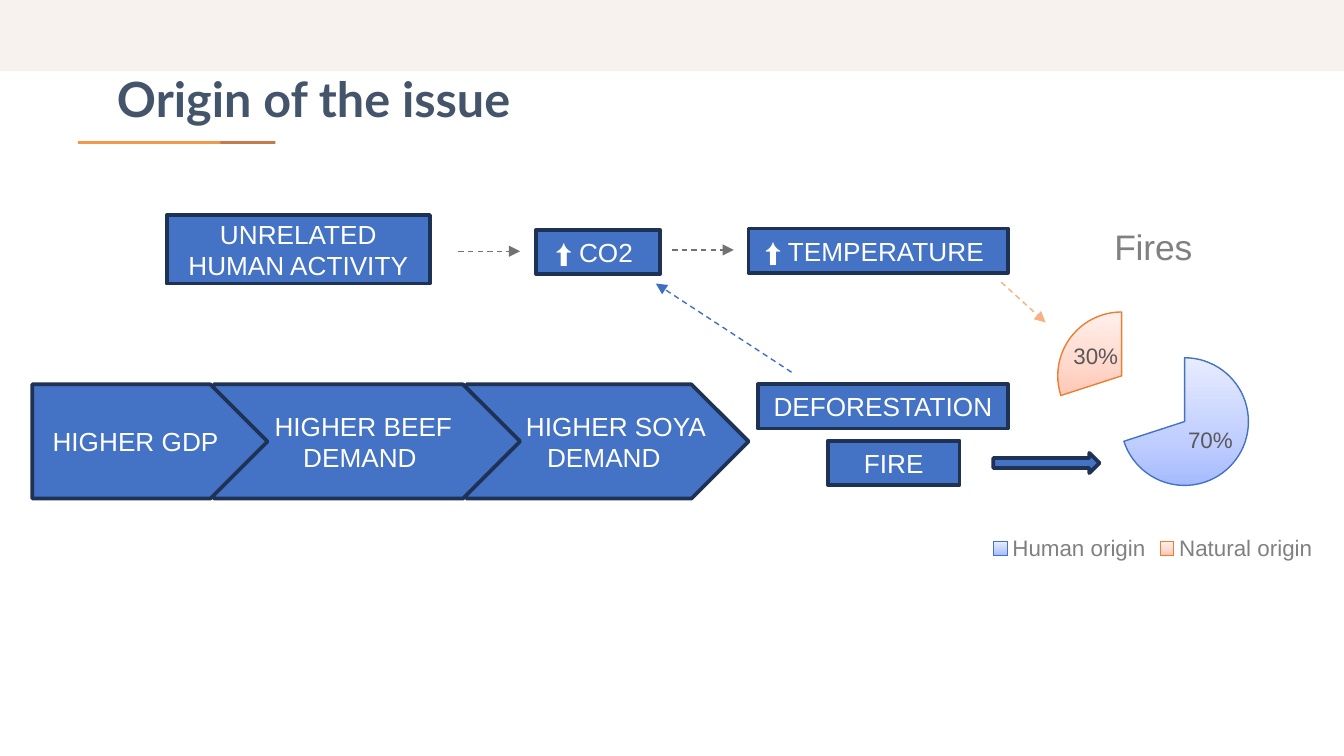
from typing import NamedTuple

from lxml import etree
from pptx import Presentation
from pptx.chart.data import CategoryChartData
from pptx.dml.color import RGBColor
from pptx.enum.chart import XL_CHART_TYPE as ChartType
from pptx.enum.chart import XL_LABEL_POSITION as LabelPosition
from pptx.enum.chart import XL_LEGEND_POSITION as LegendPosition
from pptx.enum.dml import MSO_LINE_DASH_STYLE as Dash
from pptx.enum.shapes import MSO_CONNECTOR as ConnectorType
from pptx.enum.shapes import MSO_SHAPE as Shape
from pptx.enum.text import MSO_ANCHOR as Anchor
from pptx.enum.text import PP_ALIGN as Align
from pptx.oxml import parse_xml
from pptx.oxml.ns import nsdecls, qn
from pptx.util import Inches, Pt

BLUE, NAVY, WHITE, GREY = "4472C4", "1E3256", "FFFFFF", "808080"


class Box(NamedTuple):
    text: str
    left: float
    top: float
    width: float
    height: float = 0.33


class Chevron(NamedTuple):
    lines: tuple
    left: float
    width: float
    inset: float = 0
    first_indent: float = 0


class Arrow(NamedTuple):
    start: tuple
    end: tuple
    color: str


class Slice(NamedTuple):
    name: str
    value: int
    line: str
    stops: tuple


BOXES = [
    Box("DEFORESTATION", 5.64, 2.86, 1.86),
    Box("FIRE", 6.16, 3.28, 0.98),
    Box("⬆️ CO2 ", 3.99, 1.71, 0.92),
    Box("⬆️ TEMPERATURE ", 5.57, 1.7, 1.93),
    Box("UNRELATED HUMAN ACTIVITY", 1.24, 1.6, 1.96, 0.51),
]
# Back to front: each chevron overlaps the next one in the chain.
CHEVRONS = [
    Chevron(("HIGHER SOYA", "DEMAND"), 3.47, 2.1, 0.16, 0.18),
    Chevron(("HIGHER BEEF", "DEMAND"), 1.59, 2.28, 0.11, 0.05),
    Chevron(("HIGHER GDP",), 0.24, 1.75),
]
ARROWS = [
    Arrow((5.89, 2.77), (4.88, 2.11), "3F6FC3"),
    Arrow((5, 1.86), (5.46, 1.86), "767171"),
    Arrow((7.45, 2.1), (7.78, 2.4), "F4B183"),
    Arrow((3.41, 1.87), (3.87, 1.87), "767171"),
]
SLICES = [
    Slice("Human origin", 70, BLUE, ("A6BBFF", "C0CEFF", "E7ECFF")),
    Slice("Natural origin", 30, "ED7D31", ("FFC7B6", "FFD7CB", "FFF0EB")),
]


def rgb(color: str) -> RGBColor:
    return RGBColor.from_string(color)


def style_font(font, *, size: float, color: str, name: str = "Arial", bold: bool = False) -> None:
    font.size, font.name, font.bold = Pt(size), name, bold
    font.color.rgb = rgb(color)


def write(frame, *lines: str, size: float = 14, color: str = WHITE, name: str = "Arial",
          bold: bool = False, align=Align.CENTER, anchor=Anchor.MIDDLE) -> None:
    frame.word_wrap = True
    frame.vertical_anchor = anchor
    for index, line in enumerate(lines):
        para = frame.add_paragraph() if index else frame.paragraphs[0]
        para.alignment = align
        span = para.add_run()
        span.text = line
        style_font(span.font, size=size, color=color, name=name, bold=bold)


def draw_shape(page, kind, left: float, top: float, width: float, height: float,
               *, fill: str = BLUE, line: str | None = NAVY):
    shape = page.shapes.add_shape(kind, Inches(left), Inches(top), Inches(width), Inches(height))
    shape.shadow.inherit = False
    shape.fill.solid()
    shape.fill.fore_color.rgb = rgb(fill)
    if line:
        shape.line.color.rgb = rgb(line)
        shape.line.width = Pt(2)
    else:
        shape.line.fill.background()
    return shape


def draw_chevron(page, chevron: Chevron) -> None:
    shape = draw_shape(page, Shape.PENTAGON, chevron.left, 2.86, chevron.width, 0.85)
    frame = shape.text_frame
    frame.margin_left, frame.margin_right = Inches(chevron.inset), 0
    write(frame, *chevron.lines)
    properties = frame.paragraphs[0]._p.get_or_add_pPr()
    properties.set("marL", str(Inches(chevron.first_indent)))


def draw_arrow(page, arrow: Arrow) -> None:
    points = [Inches(value) for value in (*arrow.start, *arrow.end)]
    connector = page.shapes.add_connector(ConnectorType.STRAIGHT, *points)
    connector.line.color.rgb = rgb(arrow.color)
    connector.line.width = Pt(0.75)
    connector.line.dash_style = Dash.DASH
    properties = connector._element.spPr
    etree.SubElement(properties.find(qn("a:ln")), qn("a:tailEnd"), type="triangle")
    etree.SubElement(properties, qn("a:effectLst"))


def layout_xml(**values: float):
    """Manual chart layout in fractions of the chart's size."""
    target = '<c:layoutTarget val="inner"/>' if "w" in values else ""
    modes = '<c:xMode val="edge"/><c:yMode val="edge"/>'
    places = "".join(f'<c:{key} val="{value}"/>' for key, value in values.items())
    return parse_xml(f'<c:layout {nsdecls("c")}><c:manualLayout>{target}{modes}{places}'
                     '</c:manualLayout></c:layout>')


def gradient_xml(colors: tuple):
    stops = "".join(f'<a:gs pos="{position}"><a:srgbClr val="{color}"/></a:gs>'
                    for position, color in zip((0, 35000, 100000), colors))
    return parse_xml(f'<a:gradFill {nsdecls("a")}><a:gsLst>{stops}</a:gsLst>'
                     '<a:lin ang="16200000"/></a:gradFill>')


def draw_fires_chart(page) -> None:
    data = CategoryChartData()
    data.categories = [part.name for part in SLICES]
    data.add_series("Series 1", [part.value for part in SLICES])
    chart = page.shapes.add_chart(ChartType.PIE, Inches(7.05), Inches(1.51),
                                  Inches(3.06), Inches(2.7), data).chart
    style_font(chart.font, size=10, color="000000")

    chart.has_title = True
    write(chart.chart_title.text_frame, "Fires", size=19, color=GREY)
    title = chart.chart_title._element
    for old in title.findall(qn("c:layout")):
        title.remove(old)
    title.find(qn("c:tx")).addnext(layout_xml(x=0.39, y=0.04))

    chart.has_legend = True
    chart.legend.position = LegendPosition.BOTTOM
    chart.legend.include_in_layout = False
    style_font(chart.legend.font, size=12, color=GREY)

    plot = chart.plots[0]
    plot.vary_by_categories = True
    area = plot._element.getparent()
    for old in area.findall(qn("c:layout")):
        area.remove(old)
    area.insert(0, layout_xml(x=0.25, y=0.25, w=0.5, h=0.58))

    series = plot.series[0]
    for index, part in enumerate(SLICES):
        line = series.points[index].format.line
        line.color.rgb = rgb(part.line)
        line.width = Pt(0.75)
    points = series._element.findall(qn("c:dPt"))
    for point, part in zip(points, SLICES):
        point.find(qn("c:spPr")).insert(0, gradient_xml(part.stops))
    points[0].addprevious(parse_xml(f'<c:explosion {nsdecls("c")} val="61"/>'))

    labels = series.data_labels
    labels.show_percentage, labels.show_value = True, False
    labels.position = LabelPosition.CENTER
    style_font(labels.font, size=12, color="595959")


def main() -> None:
    deck = Presentation()
    deck.slide_width = Inches(10)
    deck.slide_height = deck.slide_width * 9 // 16
    page = deck.slides.add_slide(deck.slide_layouts[6])

    draw_shape(page, Shape.RECTANGLE, 0, 0, 10, 0.53, fill="F7F2ED", line=None)
    for left, color in ((0.99, "C97949"), (0.58, "F2984E")):
        draw_shape(page, Shape.RECTANGLE, left, 1.05, 1.06, 0.02, fill=color, line=None)

    title = page.shapes.add_textbox(Inches(0.8), Inches(0.49), Inches(8.41), Inches(0.59)).text_frame
    title.margin_left = title.margin_right = title.margin_top = title.margin_bottom = Inches(0.07)
    write(title, "Origin of the issue", size=26, color="44546A", name="Lato", bold=True,
          align=Align.LEFT, anchor=Anchor.TOP)
    title.paragraphs[0].line_spacing = 0.9

    for chevron in CHEVRONS:
        draw_chevron(page, chevron)
    draw_fires_chart(page)
    for box in BOXES:
        shape = draw_shape(page, Shape.RECTANGLE, box.left, box.top, box.width, box.height)
        write(shape.text_frame, box.text)
    draw_shape(page, Shape.RIGHT_ARROW, 7.39, 3.37, 0.79, 0.15)
    for arrow in ARROWS:
        draw_arrow(page, arrow)
    deck.save("out.pptx")


if __name__ == "__main__":
    main()
